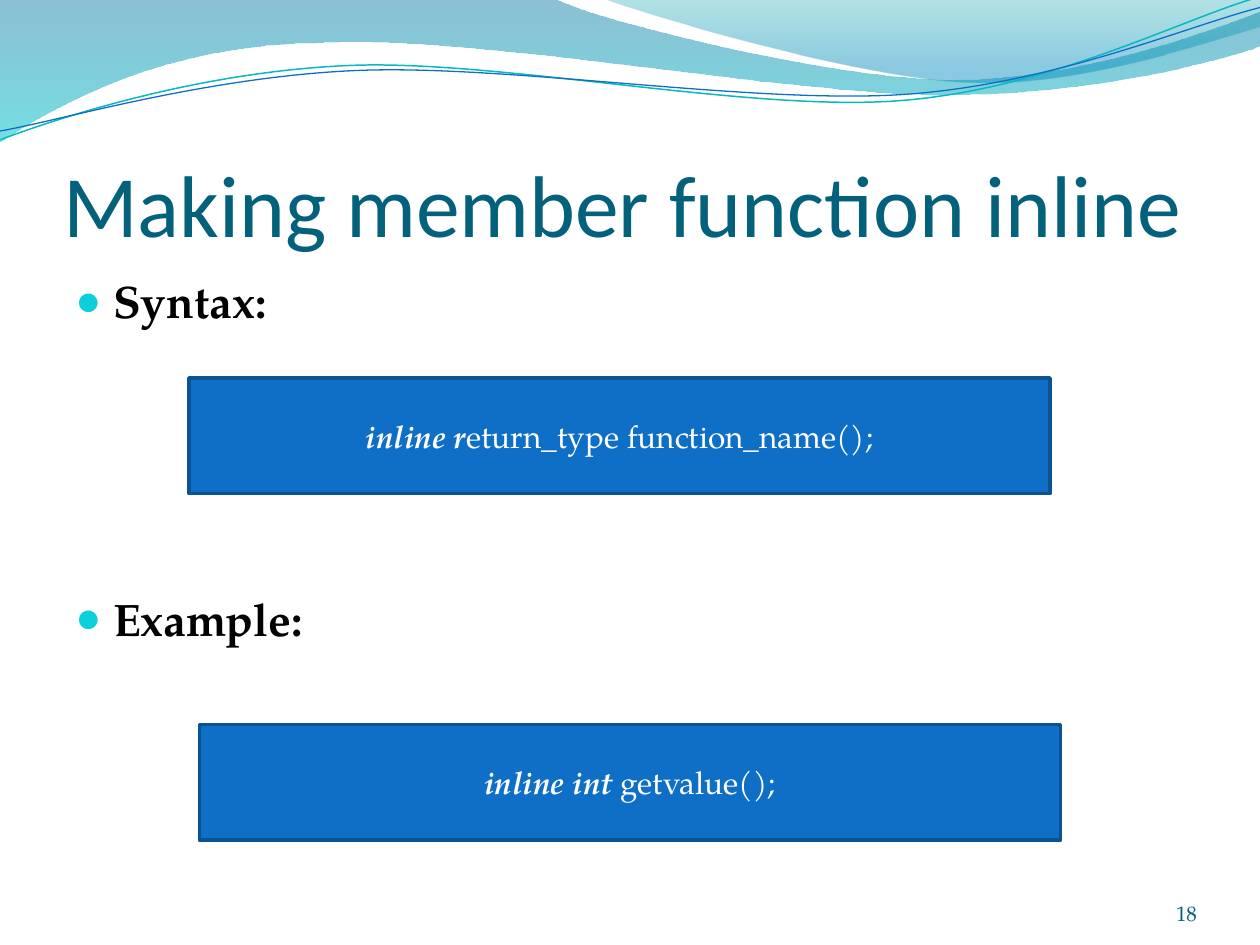
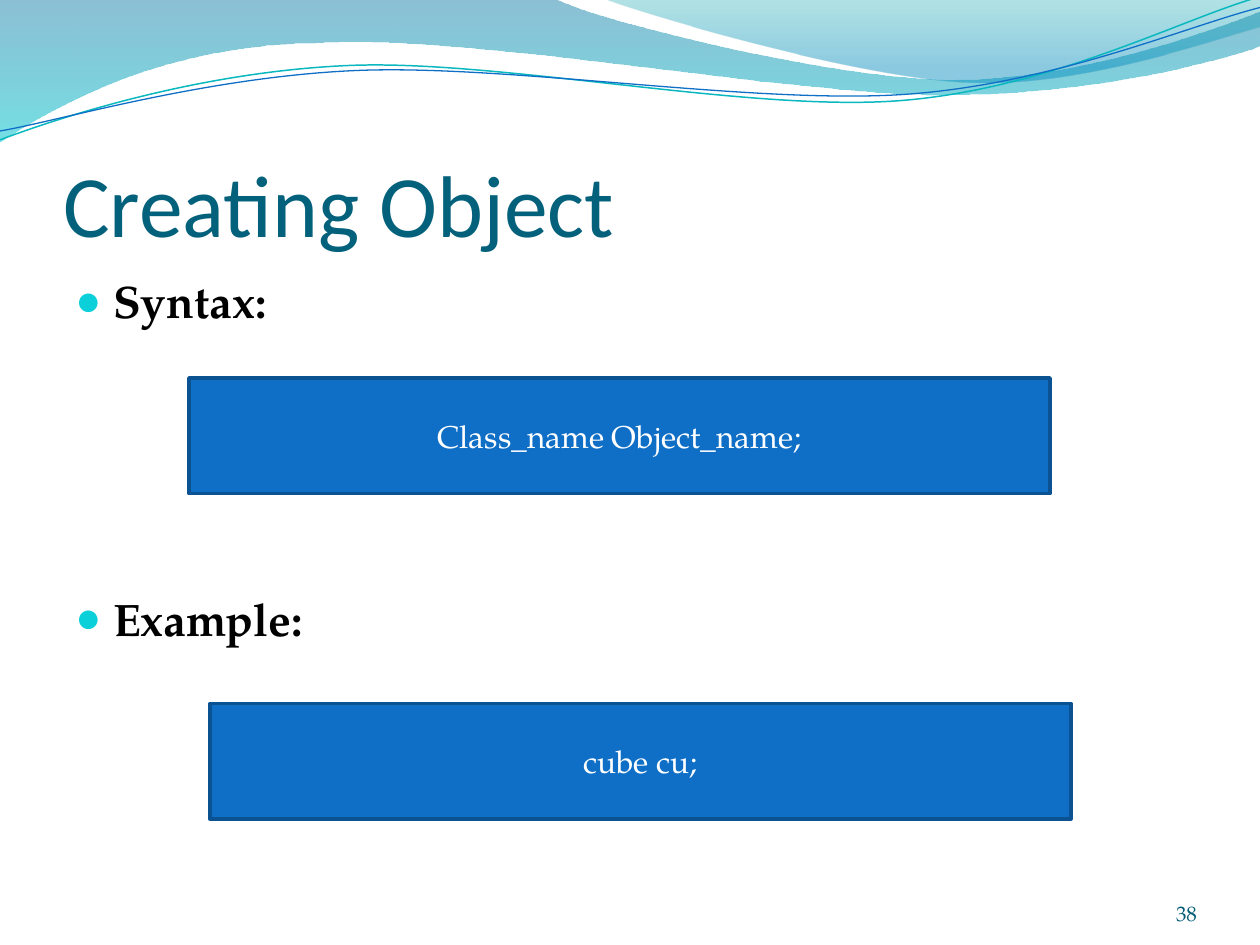
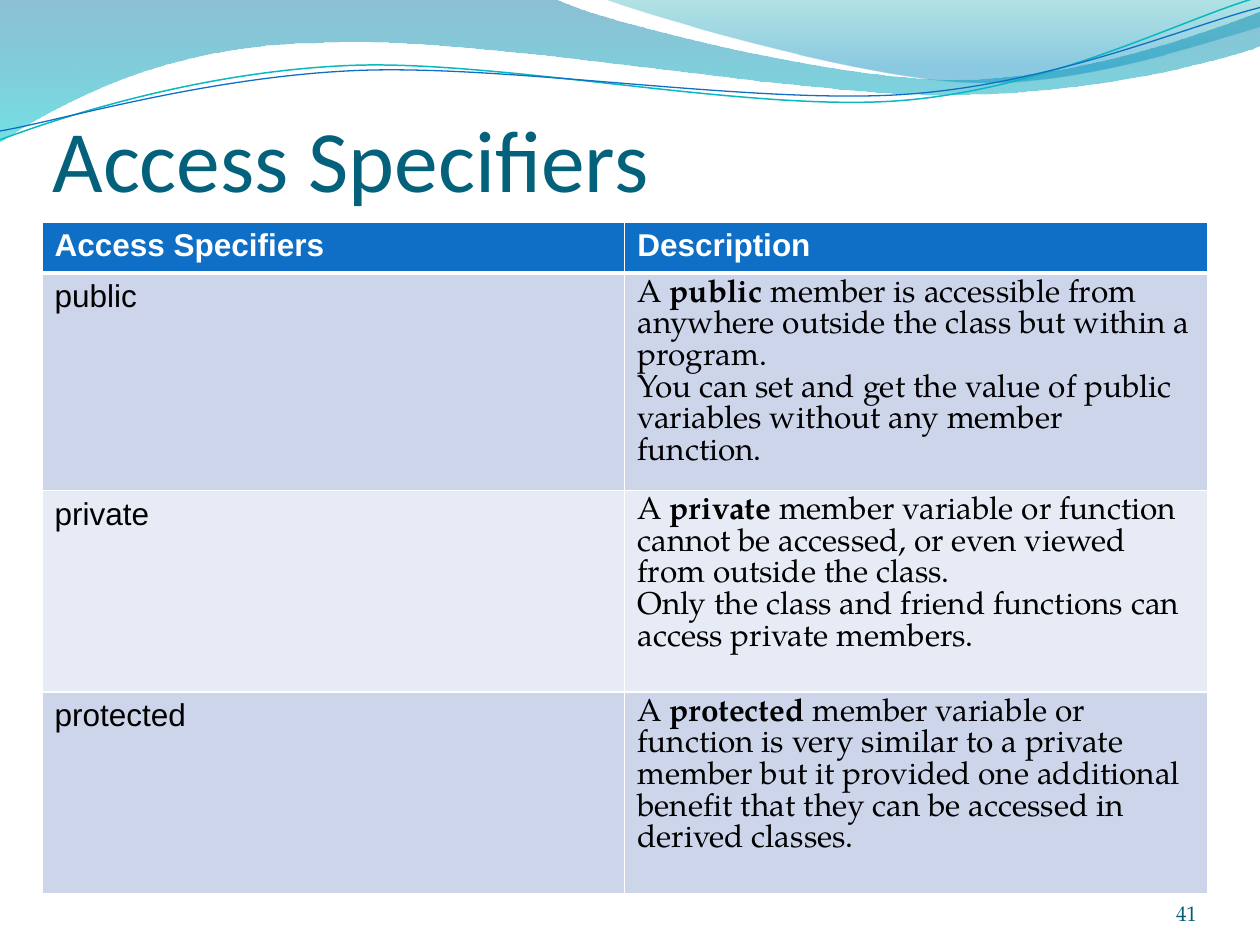
"""Three slides on C++ classes: a shared wave banner, titles, code boxes and a table."""
import math
from dataclasses import dataclass
from typing import NamedTuple

import lxml.etree
import pptx
import pptx.dml.color
import pptx.enum.shapes
import pptx.enum.text
import pptx.oxml.ns
import pptx.util

Anchor = pptx.enum.text.MSO_ANCHOR
Align = pptx.enum.text.PP_ALIGN
Pt = pptx.util.Pt
qn = pptx.oxml.ns.qn


# ---- Theme ----
@dataclass(frozen=True)
class Theme:
    title_font: str = "Calibri"
    body_font: str = "TeX Gyre Pagella"
    label_font: str = "Arial"
    title_size: float = 50
    bullet_size: float = 26
    text_size: float = 18
    table_pitch: float = 18.1
    number_size: float = 12
    title: str = "04617B"
    number: str = "045D75"
    text: str = "000000"
    light: str = "FFFFFF"
    accent: str = "0F6FC6"
    accent_edge: str = "0B5292"
    bullet: str = "0BD0D9"
    wave_line: str = "0AB8BF"
    bands: tuple[str, str] = ("CCD5EA", "E7EBF5")


THEME = Theme()

# ---- Grid: 120 columns by 90 rows ----
SLIDE_WIDTH, SLIDE_HEIGHT = pptx.util.Inches(10), pptx.util.Inches(7.5)
COLUMNS, ROWS = 120, 90


def across(columns: float) -> int:
    return round(SLIDE_WIDTH * columns / COLUMNS)


def down(rows: float) -> int:
    return round(SLIDE_HEIGHT * rows / ROWS)


class Area(NamedTuple):
    column: float
    row: float
    columns: float
    rows: float

    def place(self) -> tuple[int, int, int, int]:
        return across(self.column), down(self.row), across(self.columns), down(self.rows)


TITLE_AREA = Area(6, 9.25, 108, 15)
BODY_AREA = Area(6, 25.4, 108, 57.6)
NUMBER_AREA = Area(104, 83.4, 10, 4.8)
TABLE_ROWS = (4.85, 20.7, 19.2, 19.2)
TABLE_AREA = Area(4, 21.15, 111, sum(TABLE_ROWS))
CODE_COLUMNS, CODE_ROWS = 82, 11


# ---- Content types ----
class Span(NamedTuple):
    text: str
    bold: bool = False
    italic: bool = False


class CodeBox(NamedTuple):
    column: float
    row: float
    spans: list[Span]


class CodePage(NamedTuple):
    title: str
    number: int
    boxes: list[CodeBox]


class Specifier(NamedTuple):
    name: str
    paragraphs: list[list[Span]]


class Stop(NamedTuple):
    position: float
    color: str
    opacity: int


Point = tuple[float, float]


class Wave(NamedTuple):
    """Outline in inches: a pair is a straight step, six numbers a Bezier step."""
    start: Point
    steps: list[tuple[float, ...]]
    stops: tuple[Stop, ...] = ()
    line: str = ""
    weight: float = 0
    center: Point = (0, 0)
    tilt: float = 0


WAVES = [
    Wave((0, -0.01), [
        (4.4, -0.01), (4.76, 0.17, 6.64, 0.63, 7.58, 0.63),
        (8.53, 0.63, 9.58, 0.26, 10, 0.09), (10.01, 0.36),
        (9.83, 0.44, 8.7, 0.76, 7.46, 0.75), (6.22, 0.75, 3.82, 0.28, 2.57, 0.34),
        (1.29, 0.35, 0.46, 0.83, -0.01, 1.13), (0, -0.01)],
        stops=(Stop(0, "0074A1", 45), Stop(1, "00C6CF", 55))),
    Wave((4.79, -0.01), [
        (5.09, 0.11, 6.82, 0.62, 7.69, 0.65), (8.56, 0.69, 9.61, 0.32, 10, 0.21),
        (10, 0), (4.79, -0.01)],
        stops=(Stop(0, "00A1A9", 30), Stop(0.8, "008BBF", 45))),
    Wave((0, 1.11), [
        (0.48, 0.93, 1.58, 0.57, 2.77, 0.52), (3.95, 0.47, 5.93, 0.89, 7.13, 0.8),
        (8.33, 0.71, 9.38, 0.15, 9.98, -0.02)],
        line=THEME.wave_line, weight=0.85, center=(4.99, 0.57), tilt=-2.7),
    Wave((0, 1.04), [
        (0.47, 0.96, 1.64, 0.61, 2.83, 0.56), (4.03, 0.51, 5.97, 0.83, 7.17, 0.75),
        (8.36, 0.67, 9.41, 0.21, 10, 0.06)],
        line=THEME.accent, weight=0.75, center=(5, 0.59), tilt=-2.7),
]

CODE_PAGES = [
    CodePage("Making member function inline", 18, [
        CodeBox(18, 36, [Span("inline r", True, True), Span("eturn_type function_name();")]),
        CodeBox(19, 69, [Span("inline int ", True, True), Span("getvalue();")])]),
    CodePage("Creating Object", 38, [
        CodeBox(18, 36, [Span("Class_name Object_name;")]),
        CodeBox(20, 67, [Span("cube cu;")])]),
]


def describe(name: str, rest: str, *more: str) -> Specifier:
    first = [Span("A\u00a0"), Span(name, bold=True), Span("\u00a0member " + rest)]
    return Specifier(name, [first] + [[Span(text)] for text in more])


SPECIFIERS = [
    describe("public", "is accessible from anywhere outside the class but within a program. ",
             "You can set and get the value of public variables without any member function."),
    describe("private", "variable or function cannot be accessed, or even viewed "
             "from outside the class.",
             "Only the class and friend functions can access private members."),
    describe("protected", "variable or function is very similar to a private member but it "
             "provided one additional benefit that they can be accessed in  derived classes."),
]


# ---- Text and colour helpers ----
def rgb(color: str) -> pptx.dml.color.RGBColor:
    return pptx.dml.color.RGBColor.from_string(color)


def write(para, spans: list[Span], size: float, color: str, font: str = THEME.body_font) -> None:
    for span in spans:
        run = para.add_run()
        run.text = span.text
        run.font.name, run.font.size = font, Pt(size)
        run.font.bold, run.font.italic = span.bold, span.italic
        run.font.color.rgb = rgb(color)


def set_frame(frame, anchor, insets: tuple[float, float, float, float]) -> None:
    frame.word_wrap = True
    frame.auto_size = pptx.enum.text.MSO_AUTO_SIZE.NONE
    frame.vertical_anchor = anchor
    (frame.margin_left, frame.margin_top,
     frame.margin_right, frame.margin_bottom) = map(pptx.util.Inches, insets)


def add_bullet(para) -> None:
    properties = para._p.get_or_add_pPr()
    indent = pptx.util.Inches(0.3)
    properties.set("marL", str(indent))
    properties.set("indent", str(-indent))
    color = lxml.etree.SubElement(properties, qn("a:buClr"))
    lxml.etree.SubElement(color, qn("a:srgbClr"), val=THEME.bullet)
    lxml.etree.SubElement(properties, qn("a:buSzPct"), val="95000")
    lxml.etree.SubElement(properties, qn("a:buFont"), typeface=THEME.label_font)
    lxml.etree.SubElement(properties, qn("a:buChar"), char="●")


# ---- Wave banner ----
def level(wave: Wave, x: float, y: float) -> tuple[int, int]:
    """Turn a point back by the tilt of the wave, in EMU."""
    angle = math.radians(-wave.tilt)
    dx, dy = x - wave.center[0], y - wave.center[1]
    return (pptx.util.Inches(wave.center[0] + dx * math.cos(angle) - dy * math.sin(angle)),
            pptx.util.Inches(wave.center[1] + dx * math.sin(angle) + dy * math.cos(angle)))


def bend(shape, steps: list[list[tuple[int, int]]]) -> None:
    """Exchange the straight segments of Bezier steps for real curves."""
    outline = next(shape.element.iter(qn("a:path")))
    for segment, points in zip(list(outline)[1:], steps):
        if len(points) == 1:
            continue
        curve = lxml.etree.Element(qn("a:cubicBezTo"))
        for x, y in points:
            lxml.etree.SubElement(curve, qn("a:pt"), x=str(x - shape.left), y=str(y - shape.top))
        outline.replace(segment, curve)


def add_wave(page, wave: Wave):
    steps = [[level(wave, *step[index:index + 2]) for index in range(0, len(step), 2)]
             for step in wave.steps]
    builder = page.shapes.build_freeform(*level(wave, *wave.start))
    builder.add_line_segments([points[-1] for points in steps], close=bool(wave.stops))
    shape = builder.convert_to_shape()
    bend(shape, steps)
    shape.rotation = wave.tilt
    shape.shadow.inherit = False
    if not wave.stops:
        shape.fill.background()
        shape.line.color.rgb = rgb(wave.line)
        shape.line.width = Pt(wave.weight)
        return shape
    shape.line.fill.background()
    shape.fill.gradient()
    shape.fill.gradient_angle = 270
    for target, stop in zip(shape.fill.gradient_stops, wave.stops):
        target.position = stop.position
        target.color.rgb = rgb(stop.color)
    for color, stop in zip(shape.element.iter(qn("a:srgbClr")), wave.stops):
        lxml.etree.SubElement(color, qn("a:alpha"), val=str(stop.opacity * 1000))
    return shape


def move_waves_to_master(deck, page) -> None:
    """Draw the waves once, then hand them to the master so every page shows them."""
    for index, wave in enumerate(WAVES):
        shape = add_wave(page, wave)
        shape.element.nvSpPr.cNvPr.set("id", str(100 + index))
        shape.name = f"Wave {index + 1}"
        deck.slide_master.shapes.element.insert(2 + index, shape.element)


# ---- Page parts ----
def add_page(deck, title: str, number: int, area: Area = TITLE_AREA):
    page = deck.slides.add_slide(deck.slide_layouts.get_by_name("Title Only"))
    heading = page.shapes.title
    heading.left, heading.top, heading.width, heading.height = area.place()
    set_frame(heading.text_frame, Anchor.BOTTOM, (0, 0.05, 0, 0))
    para = heading.text_frame.paragraphs[0]
    para.alignment = Align.LEFT
    write(para, [Span(title)], THEME.title_size, THEME.title, THEME.title_font)

    box = page.shapes.add_textbox(*NUMBER_AREA.place())
    set_frame(box.text_frame, Anchor.BOTTOM, (0, 0, 0, 0))
    para = box.text_frame.paragraphs[0]
    para.alignment = Align.RIGHT
    write(para, [Span(str(number))], THEME.number_size, THEME.number)
    return page


def add_headings(page) -> None:
    frame = page.shapes.add_textbox(*BODY_AREA.place()).text_frame
    set_frame(frame, Anchor.TOP, (0.1, 0.05, 0.1, 0.05))
    for index, (text, gap) in enumerate((("Syntax:", 5.2), ("Example:", 150.5))):
        para = frame.add_paragraph() if index else frame.paragraphs[0]
        para.space_before = Pt(gap)
        add_bullet(para)
        write(para, [Span(text, bold=True)], THEME.bullet_size, THEME.text)


def add_code_box(page, code: CodeBox) -> None:
    area = Area(code.column, code.row, CODE_COLUMNS, CODE_ROWS)
    box = page.shapes.add_shape(pptx.enum.shapes.MSO_SHAPE.RECTANGLE, *area.place())
    box.shadow.inherit = False
    box.fill.solid()
    box.fill.fore_color.rgb = rgb(THEME.accent)
    box.line.color.rgb = rgb(THEME.accent_edge)
    box.line.width = Pt(2)
    set_frame(box.text_frame, Anchor.MIDDLE, (0.1, 0.05, 0.1, 0.05))
    para = box.text_frame.paragraphs[0]
    para.alignment = Align.CENTER
    write(para, code.spans, THEME.text_size, THEME.light)


# ---- Table ----
def style_cell(cell, fill: str, top: float, bottom: float) -> None:
    cell.fill.solid()
    cell.fill.fore_color.rgb = rgb(fill)
    properties = cell._tc.get_or_add_tcPr()
    weights = {"a:lnL": 1, "a:lnR": 1, "a:lnT": top, "a:lnB": bottom}
    for index, (side, weight) in enumerate(weights.items()):
        edge = lxml.etree.Element(qn(side), w=str(Pt(weight)))
        paint = lxml.etree.SubElement(edge, qn("a:solidFill"))
        lxml.etree.SubElement(paint, qn("a:srgbClr"), val=THEME.light)
        properties.insert(index, edge)


def add_specifier_table(page) -> None:
    table = page.shapes.add_table(len(TABLE_ROWS), 2, *TABLE_AREA.place()).table
    for column in table.columns:
        column.width = across(TABLE_AREA.columns / 2)
    for row, height in zip(table.rows, TABLE_ROWS):
        row.height = down(height)

    for index, text in enumerate(("Access Specifiers", "Description")):
        cell = table.cell(0, index)
        style_cell(cell, THEME.accent, top=1, bottom=3)
        write(cell.text_frame.paragraphs[0], [Span(text, bold=True)],
              THEME.text_size, THEME.light, THEME.label_font)

    for row, specifier in enumerate(SPECIFIERS, start=1):
        label, description = table.cell(row, 0), table.cell(row, 1)
        for cell in (label, description):
            style_cell(cell, THEME.bands[(row - 1) % 2], top=3 if row == 1 else 1, bottom=1)
        write(label.text_frame.paragraphs[0], [Span(specifier.name)],
              THEME.text_size, THEME.text, THEME.label_font)
        frame = description.text_frame
        for index, spans in enumerate(specifier.paragraphs):
            para = frame.add_paragraph() if index else frame.paragraphs[0]
            para.line_spacing = Pt(THEME.table_pitch)
            write(para, spans, THEME.text_size, THEME.text)


# ---- Deck ----
def main() -> None:
    deck = pptx.Presentation()
    deck.slide_width, deck.slide_height = SLIDE_WIDTH, SLIDE_HEIGHT

    for content in CODE_PAGES:
        page = add_page(deck, content.title, content.number)
        add_headings(page)
        for code in content.boxes:
            add_code_box(page, code)

    page = add_page(deck, "Access Specifiers", 41, TITLE_AREA._replace(column=5, row=5))
    add_specifier_table(page)
    move_waves_to_master(deck, page)
    deck.save("out.pptx")


main()
